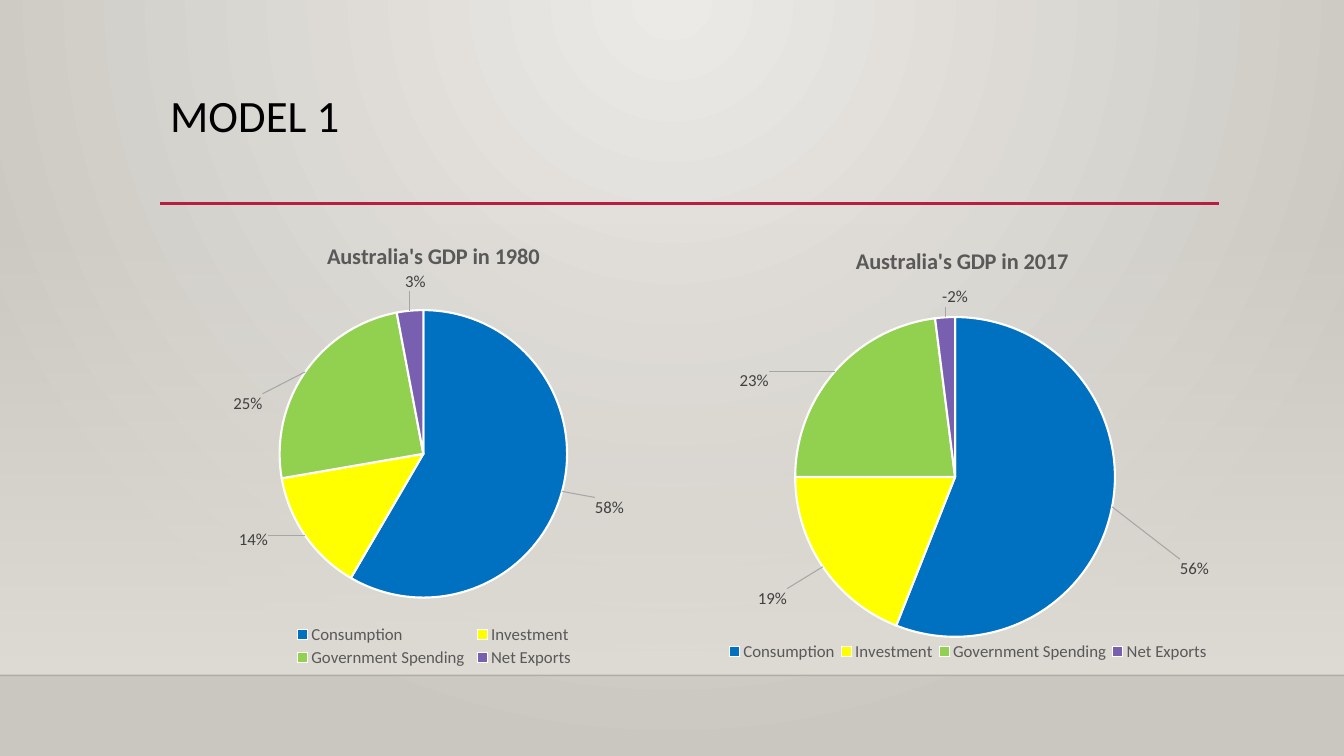
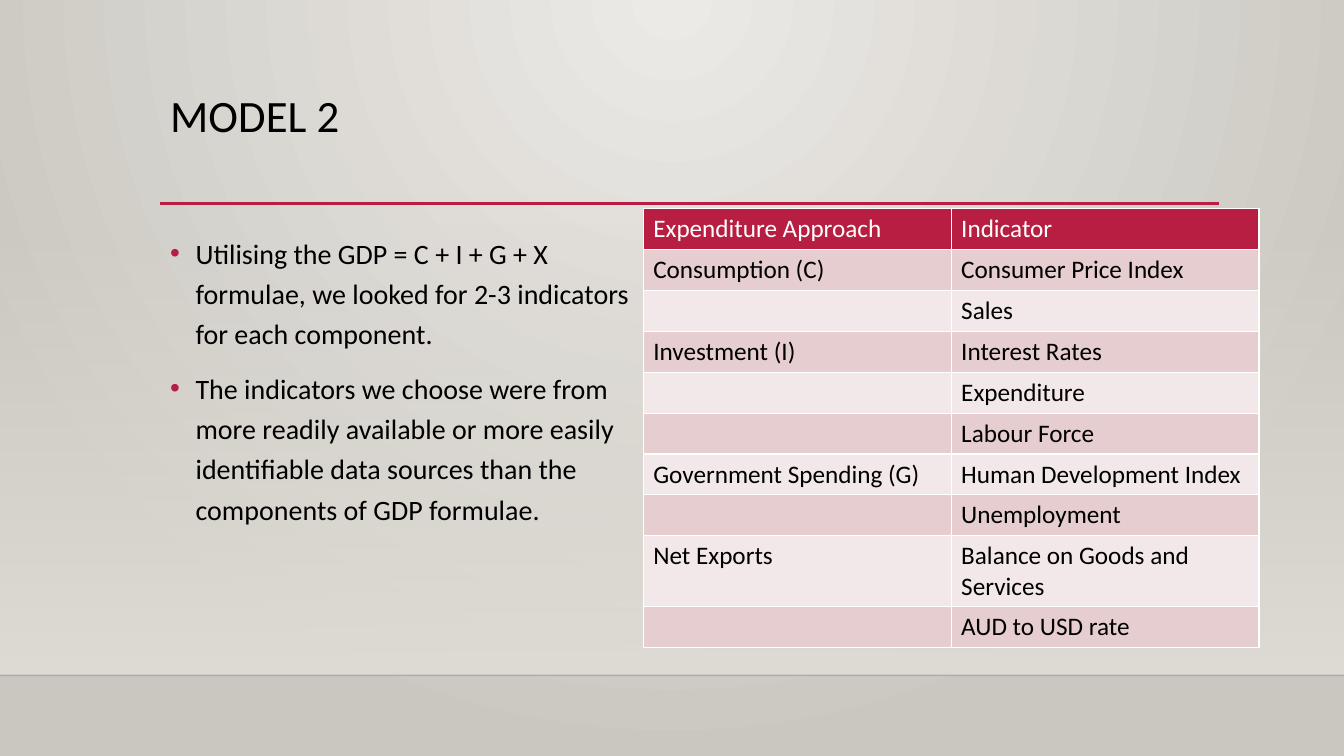
"""Build two slides on models of Australia's GDP."""
from dataclasses import dataclass

from lxml.etree import SubElement, _Element
from pptx import Presentation
from pptx.chart.chart import Chart
from pptx.chart.data import CategoryChartData
from pptx.dml.color import RGBColor
from pptx.dml.fill import FillFormat
from pptx.enum.chart import XL_CHART_TYPE, XL_LABEL_POSITION, XL_LEGEND_POSITION
from pptx.enum.shapes import MSO_CONNECTOR, MSO_SHAPE
from pptx.enum.text import MSO_ANCHOR
from pptx.oxml import parse_xml
from pptx.oxml.ns import nsdecls, qn
from pptx.presentation import Presentation as Deck
from pptx.slide import Slide
from pptx.table import _Cell
from pptx.text.text import Font, TextFrame
from pptx.util import Cm, Pt

PIE = XL_CHART_TYPE.PIE
OUTSIDE = XL_LABEL_POSITION.OUTSIDE_END
BOTTOM = XL_LEGEND_POSITION.BOTTOM
STRAIGHT = MSO_CONNECTOR.STRAIGHT
RECTANGLE = MSO_SHAPE.RECTANGLE
TOP = MSO_ANCHOR.TOP

FACE = "Calibri"
BLACK, WHITE, ACCENT = "000000", "FFFFFF", "B71E42"
CHART_TEXT, LABEL_TEXT, LEADER = "595959", "404040", "A6A6A6"
BANDS = ("E6CDCF", "F3E8E9")
WIDTH, HEIGHT = 33.87, 19.05
LEFT, FLOOR = 4.04, 17.02

CATEGORIES = ("Consumption", "Investment", "Government Spending", "Net Exports")
SLICES = ("0070C0", "FFFF00", "92D050", "795FAF")

POINTS = (
    "Utilising the GDP = C + I + G + X formulae, we looked for 2-3 indicators "
    "for each component.",
    "The indicators we choose were from more readily available or more easily "
    "identifiable data sources than the components of GDP formulae.",
)
INDICATORS = (
    ("Expenditure Approach", "Indicator"),
    ("Consumption (C)", "Consumer Price Index"),
    ("", "Sales"),
    ("Investment (I)", "Interest Rates"),
    ("", "Expenditure"),
    ("", "Labour Force"),
    ("Government Spending (G)", "Human Development Index"),
    ("", "Unemployment"),
    ("Net Exports", "Balance on Goods and Services"),
    ("", "AUD to USD rate"),
)


@dataclass(frozen=True)
class Box:
    """A rectangle, in centimetres on a page or as fractions of a chart."""

    left: float
    top: float
    width: float
    height: float

    def lengths(self) -> tuple[Cm, Cm, Cm, Cm]:
        """Return the four measures as lengths."""
        return Cm(self.left), Cm(self.top), Cm(self.width), Cm(self.height)


@dataclass(frozen=True)
class Rule:
    """A horizontal line across the page."""

    start: float
    end: float
    height: float
    colour: str
    weight: float
    opacity: int = 100


@dataclass(frozen=True)
class GdpPie:
    """One year of GDP shares and the layout of its chart."""

    title: str
    box: Box
    values: tuple[int, ...]
    title_spot: tuple[float, float]
    plot: Box
    legend: Box
    label_shifts: tuple[tuple[float, float], ...]


RULES = (
    Rule(0, WIDTH, FLOOR, "000001", 1, 20),
    Rule(LEFT, 30.73, 5.13, ACCENT, 2.5),
)
PIES = (
    GdpPie(
        "Australia's GDP in 2017", Box(17.7, 5.51, 13, 11.73), (56, 19, 23, -2),
        (0.29, 0.05), Box(0.18, 0.21, 0.62, 0.69), Box(0.04, 0.9, 0.95, 0.06),
        ((0.12, 0.11), (-0.06, 0.04), (-0.12, 0.05), (0.02, -0.01)),
    ),
    GdpPie(
        "Australia's GDP in 1980", Box(LEFT, 5.51, 13.67, 11.4), (59, 14, 25, 3),
        (0.3, 0.04), Box(0.22, 0.2, 0.53, 0.64), Box(0.24, 0.89, 0.53, 0.11),
        ((0.05, 0.01), (-0.06, -0.02), (-0.07, 0.1), (0.03, -0.03)),
    ),
)


def colour(value: str) -> RGBColor:
    """Turn a hex string into a colour."""
    return RGBColor.from_string(value)


def style(font: Font, size: float, ink: str, bold: bool = False) -> None:
    """Set face, size, colour and weight."""
    font.name, font.size, font.bold = FACE, Pt(size), bold
    font.color.rgb = colour(ink)


def set_opacity(element: _Element, percent: int) -> None:
    """Give a colour element an opacity."""
    SubElement(element, qn("a:alpha"), {"val": str(percent * 1000)})


def blend(fill: FillFormat, first: str, last: str) -> None:
    """Fill with a gradient of two colours."""
    fill.gradient()
    for stop, value, position in zip(fill.gradient_stops, (first, last), (0, 1)):
        stop.color.rgb = colour(value)
        stop.position = position


def set_background(deck: Deck) -> None:
    """Give every page the round gradient through the master."""
    master = deck.slide_master
    blend(master.background.fill, "ECEAE7", "CAC7C1")
    gradient = master.element.find(".//" + qn("a:gradFill"))
    for linear in gradient.findall(qn("a:lin")):
        gradient.remove(linear)
    circle = SubElement(gradient, qn("a:path"), {"path": "circle"})
    edges = {"l": "43000", "t": "0", "r": "43000", "b": "100000"}
    SubElement(circle, qn("a:fillToRect"), edges)


def draw_rule(page: Slide, rule: Rule) -> None:
    """Draw one horizontal line."""
    level = Cm(rule.height)
    line = page.shapes.add_connector(STRAIGHT, Cm(rule.start), level, Cm(rule.end), level)
    line.line.color.rgb = colour(rule.colour)
    line.line.width = Pt(rule.weight)
    if rule.opacity < 100:
        set_opacity(line.element.find(".//" + qn("a:srgbClr")), rule.opacity)
    SubElement(line.element.spPr, qn("a:effectLst"))


def add_text(page: Slide, box: Box) -> TextFrame:
    """Add a wrapping text box."""
    frame = page.shapes.add_textbox(*box.lengths()).text_frame
    frame.word_wrap = True
    frame.vertical_anchor = TOP
    return frame


def add_page(deck: Deck, title: str) -> Slide:
    """Add a page with its wall, lines and title."""
    page = deck.slides.add_slide(deck.slide_layouts[6])
    wall_box = Box(0, 5.61, WIDTH, FLOOR - 5.61)
    wall = page.shapes.add_shape(RECTANGLE, *wall_box.lengths())
    wall.shadow.inherit = False
    wall.line.fill.background()
    blend(wall.fill, "DFDBD5", "DFDBD5")
    wall.fill.gradient_angle = 270
    set_opacity(wall.element.find(".//" + qn("a:srgbClr")), 0)
    for rule in RULES:
        draw_rule(page, rule)
    para = add_text(page, Box(LEFT, 2.24, 26.67, 2.92)).paragraphs[0]
    para.text = title
    para.line_spacing = 0.9
    style(para.font, 32, BLACK)
    return page


def place(parent: _Element, index: int, settings: dict[str, object]) -> None:
    """Set the manual layout of a chart part."""
    layout = parent.find(qn("c:layout"))
    if layout is None:
        layout = parse_xml(f"<c:layout {nsdecls('c')}/>")
        parent.insert(index, layout)
    manual = SubElement(layout, qn("c:manualLayout"))
    for name, value in settings.items():
        SubElement(manual, qn(f"c:{name}"), {"val": str(value)})


def edges_of(box: Box) -> dict[str, object]:
    """Describe a box as manual layout settings."""
    return {"xMode": "edge", "yMode": "edge", "x": box.left, "y": box.top,
            "w": box.width, "h": box.height}


def label_slices(chart: Chart, pie: GdpPie) -> None:
    """Colour the slices and put a percentage beside each."""
    series = chart.plots[0].series[0]
    labels = series.data_labels
    labels.show_percentage = True
    labels.number_format, labels.number_format_is_linked = "0%", False
    style(labels.font, 12, LABEL_TEXT)
    for index, (value, slice_colour) in enumerate(zip(pie.values, SLICES)):
        point = series.points[index]
        point.format.fill.solid()
        point.format.fill.fore_color.rgb = colour(slice_colour)
        point.format.line.color.rgb = colour(WHITE)
        point.format.line.width = Pt(1.5)
        label = point.data_label
        label.position = OUTSIDE
        if value < 0:
            label.text_frame.text = f"{value}%"
            style(label.text_frame.paragraphs[0].font, 12, LABEL_TEXT)
        else:
            style(label.font, 12, LABEL_TEXT)
    for element, (across, down) in zip(chart.element.iter(qn("c:dLbl")), pie.label_shifts):
        element.find(qn("c:showVal")).set("val", "0")
        element.find(qn("c:showPercent")).set("val", "1")
        place(element, 1, {"x": across, "y": down})
    chart.element.find(".//" + qn("c:ser") + "/" + qn("c:dLbls")).append(parse_xml(
        f'<c:leaderLines {nsdecls("c", "a")}><c:spPr><a:ln w="9525"><a:solidFill>'
        f'<a:srgbClr val="{LEADER}"/></a:solidFill></a:ln></c:spPr></c:leaderLines>'))


def draw_pie(page: Slide, pie: GdpPie) -> None:
    """Draw the pie chart of one year."""
    data = CategoryChartData()
    data.categories = CATEGORIES
    data.add_series("Series 1", pie.values)
    chart = page.shapes.add_chart(PIE, *pie.box.lengths(), data).chart
    style(chart.font, 10, BLACK)
    chart.plots[0].vary_by_categories = True
    chart.has_title = True
    heading = chart.chart_title.text_frame
    heading.text = pie.title
    style(heading.paragraphs[0].font, 16, CHART_TEXT, True)
    chart.has_legend = True
    chart.legend.position = BOTTOM
    chart.legend.include_in_layout = False
    style(chart.legend.font, 12, CHART_TEXT)
    label_slices(chart, pie)
    across, down = pie.title_spot
    root = chart.element
    place(root.find(".//" + qn("c:title")), 1,
          {"xMode": "edge", "yMode": "edge", "x": across, "y": down})
    place(root.find(".//" + qn("c:plotArea")), 0,
          {"layoutTarget": "inner", **edges_of(pie.plot)})
    place(root.find(".//" + qn("c:legend")), 1, edges_of(pie.legend))


def write_points(page: Slide) -> None:
    """Write the bulleted text."""
    frame = add_text(page, Box(LEFT, 5.66, 12.83, 9.58))
    for index, text in enumerate(POINTS):
        para = frame.add_paragraph() if index else frame.paragraphs[0]
        para.text = text
        para.line_spacing = 1.2
        para.space_before = Pt(10 if index else 0)
        properties = para._p.get_or_add_pPr()
        properties.set("marL", str(Cm(0.64)))
        properties.set("indent", str(-Cm(0.64)))
        bullet = SubElement(properties, qn("a:buClr"))
        SubElement(bullet, qn("a:srgbClr"), {"val": ACCENT})
        SubElement(properties, qn("a:buFont"), {"typeface": "Arial"})
        SubElement(properties, qn("a:buChar"), {"char": "•"})
        style(para.font, 20, BLACK)


def fill_cell(cell: _Cell, text: str, back: str, ink: str) -> None:
    """Write a cell with white borders."""
    properties = cell._tc.get_or_add_tcPr()
    for side in "LRTB":
        border = SubElement(properties, qn(f"a:ln{side}"), {"w": str(Pt(1))})
        solid = SubElement(border, qn("a:solidFill"))
        SubElement(solid, qn("a:srgbClr"), {"val": WHITE})
    cell.fill.solid()
    cell.fill.fore_color.rgb = colour(back)
    para = cell.text_frame.paragraphs[0]
    para.text = text
    style(para.font, 18, ink)


def draw_indicators(page: Slide) -> None:
    """Draw the table of indicators."""
    box = Box(16.21, 5.26, 15.52, 1.03 * len(INDICATORS))
    table = page.shapes.add_table(len(INDICATORS), 2, *box.lengths()).table
    for index, texts in enumerate(INDICATORS):
        back, ink = (BANDS[(index - 1) % 2], BLACK) if index else (ACCENT, WHITE)
        for cell, text in zip(table.rows[index].cells, texts):
            fill_cell(cell, text, back, ink)


def main() -> None:
    """Build and save the deck."""
    deck = Presentation()
    deck.slide_width, deck.slide_height = Cm(WIDTH), Cm(HEIGHT)
    set_background(deck)
    shares = add_page(deck, "MODEL 1")
    for pie in PIES:
        draw_pie(shares, pie)
    approach = add_page(deck, "MODEL 2")
    write_points(approach)
    draw_indicators(approach)
    deck.save("out.pptx")


main()
